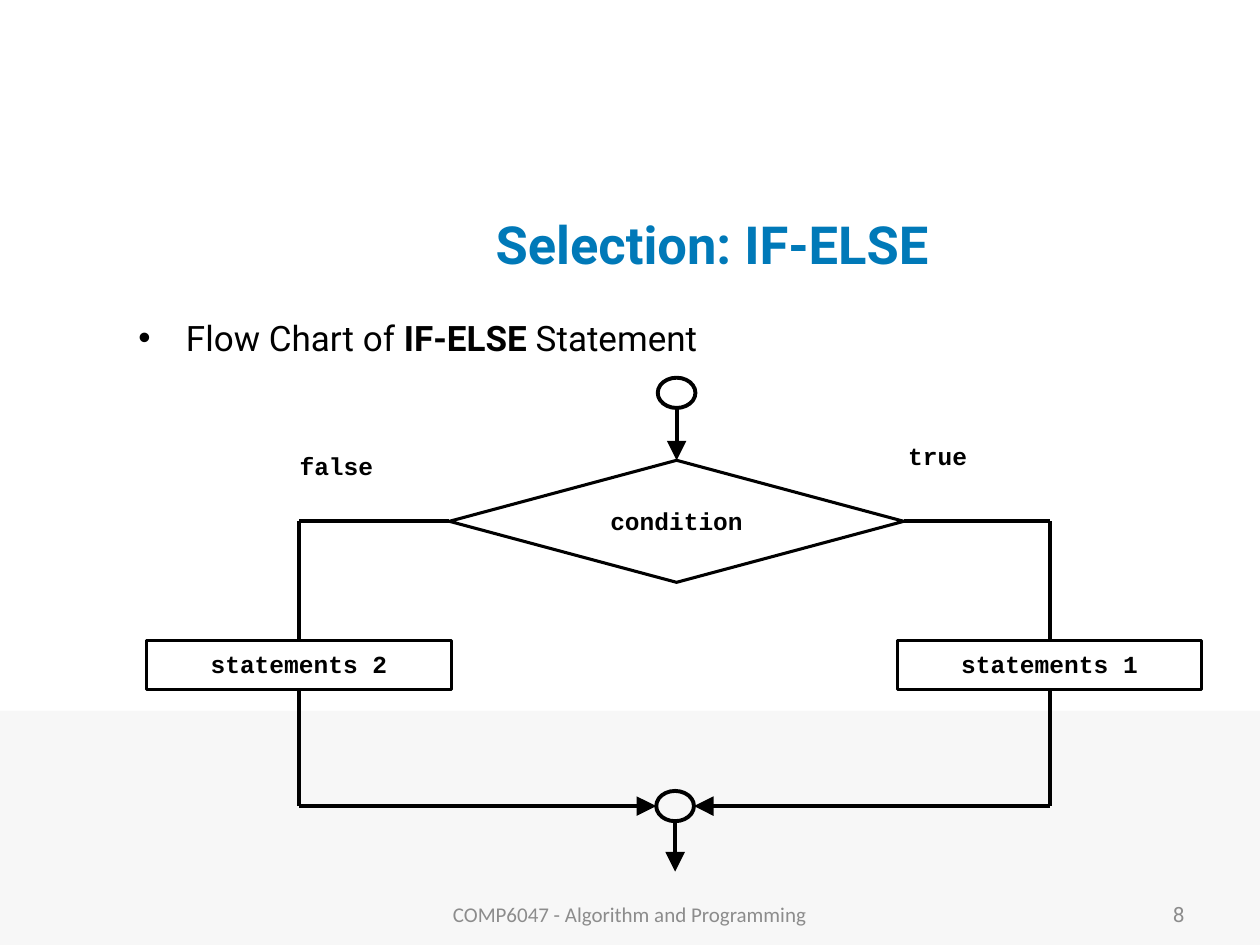
from lxml.etree import SubElement
from pptx import Presentation
from pptx.dml.color import RGBColor
from pptx.enum.shapes import MSO_CONNECTOR as Connector, MSO_SHAPE as Shape
from pptx.enum.text import MSO_ANCHOR as Anchor, PP_ALIGN as Align
from pptx.oxml.ns import qn
from pptx.util import Cm, Pt

BLACK = RGBColor(0x00, 0x00, 0x00)
WHITE = RGBColor(0xFF, 0xFF, 0xFF)
BLUE = RGBColor(0x00, 0x79, 0xB8)
GRAY = RGBColor(0x8C, 0x8C, 0x8C)
PALE = RGBColor(0xF7, 0xF7, 0xF7)

TOP, LEFT, BOTTOM, RIGHT = range(4)
CODE = dict(font="Courier New", size=14, bold=True)


def write(frame, *texts, font="Roboto", size=12, color=BLACK, bold=False,
          align=Align.LEFT, anchor=Anchor.TOP, inset=None):
    """Fill a frame with one paragraph; every second text turns bold."""
    frame.word_wrap = True
    frame.vertical_anchor = anchor
    if inset is not None:
        frame.margin_left = frame.margin_right = Cm(inset)
        frame.margin_top = frame.margin_bottom = Cm(inset)
    para = frame.paragraphs[0]
    para.alignment = align
    for index, text in enumerate(texts):
        span = para.add_run()
        span.text = text
        span.font.name = font
        span.font.size = Pt(size)
        span.font.bold = bold or index % 2 == 1
        span.font.color.rgb = color
    return para


class FlowChart:
    """Draws on one page in one line style; lengths are centimetres."""

    def __init__(self, page, line_color=BLACK, line_width=2.25, edge_width=1.75):
        self.page = page
        self.line_color = line_color
        self.line_width = line_width
        self.edge_width = edge_width

    def text(self, left, top, width, height, *texts, **style):
        box = self.page.shapes.add_textbox(Cm(left), Cm(top), Cm(width), Cm(height))
        return write(box.text_frame, *texts, **style)

    def shape(self, kind, left, top, width, height, fill=None, line=None):
        shape = self.page.shapes.add_shape(
            kind, Cm(left), Cm(top), Cm(width), Cm(height))
        shape.shadow.inherit = False
        if fill is None:
            shape.fill.background()
        else:
            shape.fill.solid()
            shape.fill.fore_color.rgb = fill
        if line is None:
            shape.line.fill.background()
        else:
            shape.line.color.rgb = self.line_color
            shape.line.width = Pt(line)
        return shape

    def node(self, kind, left, top, width, height, text):
        node = self.shape(kind, left, top, width, height, WHITE, self.edge_width)
        write(node.text_frame, text, align=Align.CENTER, anchor=Anchor.MIDDLE,
              inset=0, **CODE)
        node.text_frame.margin_bottom = Cm(0.04)
        return node

    def circle(self, x, y):
        width, height = 0.76, 0.61
        self.shape(Shape.OVAL, x - width / 2, y - height / 2, width, height,
                   line=self.line_width)

    def line(self, start, end, begin=None, finish=None, arrow=False):
        """begin and finish are (shape, side) pairs to join."""
        line = self.page.shapes.add_connector(
            Connector.STRAIGHT, *map(Cm, start + end))
        line.line.color.rgb = self.line_color
        line.line.width = Pt(self.line_width)
        if begin:
            line.begin_connect(*begin)
        if finish:
            line.end_connect(*finish)
        if arrow:
            SubElement(line.line._get_or_add_ln(), qn("a:tailEnd"),
                       type="triangle", w="lg", len="lg")
        SubElement(line._element.spPr, qn("a:effectLst"))


def add_bullet(para, indent):
    para.line_spacing = 0.9
    para.space_before = Pt(4)
    props = para._p.get_or_add_pPr()
    props.set("marL", str(Cm(indent)))
    props.set("indent", str(-Cm(indent)))
    SubElement(props, qn("a:buFont"), typeface="Arial")
    SubElement(props, qn("a:buChar"), char="•")


def main():
    deck = Presentation()
    deck.slide_width, deck.slide_height = Cm(25.4), Cm(19.05)
    page = deck.slides.add_slide(deck.slide_layouts[6])
    chart = FlowChart(page)

    # Background band, title and bullet
    chart.shape(Shape.RECTANGLE, 0, 14.33, 25.4, 4.72, PALE)
    chart.text(4.86, 3.81, 19, 2.21, "Selection: IF-ELSE", size=30, color=BLUE,
               bold=True, align=Align.CENTER, anchor=Anchor.MIDDLE)
    bullet = chart.text(2.54, 6.35, 21.79, 10.34, "Flow Chart of ", "IF-ELSE ",
                        "Statement", size=20, align=Align.JUSTIFY)
    add_bullet(bullet, 0.96)

    # Start and condition
    middle, start_y, branch_y = 13.64, 7.92, 10.51
    merge_x, merge_y = 13.61, 16.25
    radius_x, radius_y = 0.38, 0.3
    condition = chart.node(Shape.DIAMOND, middle - 4.58, branch_y - 1.23,
                           9.16, 2.46, "condition")
    chart.circle(middle, start_y)
    chart.line((middle, start_y + radius_y), (middle, branch_y - 1.23),
               finish=(condition, TOP), arrow=True)

    # Branches: box centre, side of the condition, statement, label position
    box_width, box_height, box_top = 6.14, 0.99, 12.91
    branches = [
        (6.03, LEFT, "statements 2", "false", 6.04, 9.1),
        (21.16, RIGHT, "statements 1", "true", 18.31, 8.89),
    ]
    for x, side, statement, label, label_x, label_y in branches:
        corner, lower = (x, branch_y), (x, merge_y)
        edge = merge_x + (radius_x if side == RIGHT else -radius_x)
        chart.line(corner, corner, begin=(condition, side))
        chart.line(corner, lower)
        chart.line(lower, (edge, merge_y), arrow=True)
        chart.node(Shape.RECTANGLE, x - box_width / 2, box_top,
                   box_width, box_height, statement)
        chart.text(label_x, label_y, 3, 1.2, label, inset=0, **CODE)

    # Merge and exit
    chart.circle(merge_x, merge_y)
    chart.line((merge_x, merge_y + radius_y), (merge_x, 17.57), arrow=True)

    # Footer
    chart.text(8.67, 17.91, 8.05, 1.02, "COMP6047 - Algorithm and Programming",
               font="Calibri", color=GRAY, align=Align.CENTER, anchor=Anchor.MIDDLE)
    chart.text(18.21, 17.91, 5.92, 1.02, "8", color=GRAY, align=Align.RIGHT,
               anchor=Anchor.MIDDLE)

    deck.save("out.pptx")


if __name__ == "__main__":
    main()
